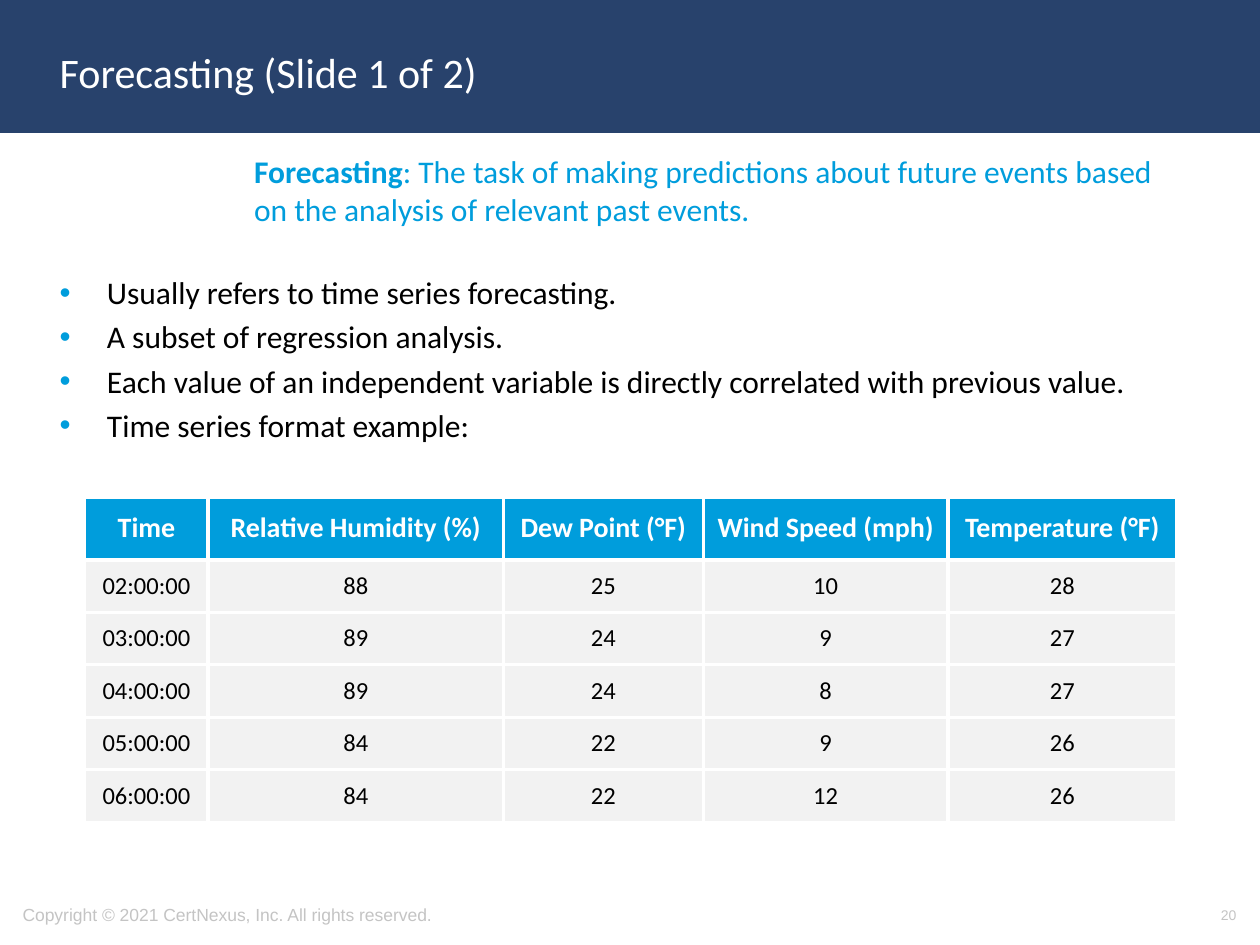
import pptx
import pptx.util
import pptx.dml.color
import pptx.enum.shapes
import pptx.enum.text
import pptx.oxml
import pptx.oxml.ns
from lxml import etree

Pt = pptx.util.Pt
ALIGN = pptx.enum.text.PP_ALIGN
ANCHOR = pptx.enum.text.MSO_ANCHOR

# Content
TITLE = "Forecasting (Slide 1 of 2)"
TERM = "Forecasting"
MEANING = (": The task of making predictions about future events based "
           "on the analysis of relevant past events.")
BULLETS = [
    "Usually refers to time series forecasting.",
    "A subset of regression analysis.",
    "Each value of an independent variable is directly correlated with previous value.",
    "Time series format example:",
]
READINGS = [
    ("Time", "Relative Humidity (%)", "Dew Point (°F)", "Wind Speed (mph)", "Temperature (°F)"),
    ("02:00:00", "88", "25", "10", "28"),
    ("03:00:00", "89", "24", "9", "27"),
    ("04:00:00", "89", "24", "8", "27"),
    ("05:00:00", "84", "22", "9", "26"),
    ("06:00:00", "84", "22", "12", "26"),
]
COPYRIGHT = "Copyright © 2021 CertNexus, Inc. All rights reserved."
PAGE_NUMBER = "20"

# Style, lengths in points
NAVY, BLUE, WHITE, BLACK, PALE, GREY = "28426C", "009DDC", "FFFFFF", "000000", "F2F2F2", "C4C4C4"
COLUMN_WIDTHS = [70.6, 168.7, 114.2, 139.9, 130.6]
HEADER_HEIGHT, ROW_HEIGHT = 36, 30
BULLET_INDENT = 27


def color(value):
    return pptx.dml.color.RGBColor.from_string(value)


def style(font, size, shade, bold=False, name="Calibri"):
    font.name, font.size, font.bold = name, Pt(size), bold
    font.color.rgb = color(shade)


def place(shape, left, top, width, height):
    shape.left, shape.top = Pt(left), Pt(top)
    shape.width, shape.height = Pt(width), Pt(height)
    frame = shape.text_frame
    frame.word_wrap = True
    frame.auto_size = pptx.enum.text.MSO_AUTO_SIZE.NONE
    return frame


def add_child(parent, tag, **attributes):
    return etree.SubElement(parent, pptx.oxml.ns.qn(tag), **attributes)


def set_bullet(para, indent, mark=None):
    properties = para._p.get_or_add_pPr()
    properties.set("marL", str(Pt(indent)))
    properties.set("indent", str(-Pt(indent)))
    if mark:
        add_child(add_child(properties, "a:buClr"), "a:srgbClr", val=BLUE)
        add_child(properties, "a:buFont", typeface="Arial")
        add_child(properties, "a:buChar", char=mark)
    else:
        add_child(properties, "a:buNone")


def set_borders(cell, shade, width):
    properties = cell._tc.get_or_add_tcPr()
    for position, side in enumerate(("a:lnL", "a:lnR", "a:lnT", "a:lnB")):
        line = add_child(properties, side, w=str(Pt(width)))
        add_child(add_child(line, "a:solidFill"), "a:srgbClr", val=shade)
        properties.insert(position, line)


def add_footer(page, text, left, width, size, align):
    box = page.shapes.add_textbox(0, 0, 0, 0)
    frame = place(box, left, 508.3, width, 28.8)
    frame.vertical_anchor = ANCHOR.MIDDLE
    frame.text = text
    para = frame.paragraphs[0]
    para.alignment = align
    style(para.runs[0].font, size, GREY, name="Arial")


def add_readings(page):
    height = HEADER_HEIGHT + ROW_HEIGHT * (len(READINGS) - 1)
    table = page.shapes.add_table(len(READINGS), len(COLUMN_WIDTHS), Pt(48.4), Pt(283.9),
                                  Pt(sum(COLUMN_WIDTHS)), Pt(height)).table
    for column, width in zip(table.columns, COLUMN_WIDTHS):
        column.width = Pt(width)
    for r, values in enumerate(READINGS):
        header = r == 0
        table.rows[r].height = Pt(HEADER_HEIGHT if header else ROW_HEIGHT)
        for c, value in enumerate(values):
            cell = table.cell(r, c)
            cell.text = value
            cell.vertical_anchor = ANCHOR.MIDDLE
            cell.fill.solid()
            cell.fill.fore_color.rgb = color(BLUE if header else PALE)
            set_borders(cell, WHITE, 2.25)
            para = cell.text_frame.paragraphs[0]
            para.alignment = ALIGN.CENTER
            style(para.runs[0].font, 16 if header else 14, WHITE if header else BLACK, header)


def main():
    deck = pptx.Presentation()
    deck.slide_width, deck.slide_height = Pt(720), Pt(540)
    page = deck.slides.add_slide(deck.slide_layouts[3])

    # Title band, sent behind the placeholders
    band = page.shapes.add_shape(pptx.enum.shapes.MSO_SHAPE.RECTANGLE, 0, 0, Pt(720), Pt(74.9))
    band.shadow.inherit = False
    band.fill.solid()
    band.fill.fore_color.rgb = band.line.color.rgb = color(NAVY)
    band.line.width = Pt(2)
    page.shapes._spTree.insert(2, band._element)

    # Title
    frame = place(page.shapes.title, 26.9, 8, 620.6, 66.2)
    frame.vertical_anchor = ANCHOR.MIDDLE
    frame.text = TITLE
    frame.paragraphs[0].alignment = ALIGN.LEFT
    style(frame.paragraphs[0].runs[0].font, 24, WHITE)

    # Bulleted list
    frame = place(page.placeholders[1], 26.9, 152.6, 666, 345.6)
    frame.text = "\n".join(BULLETS)
    for para in frame.paragraphs:
        set_bullet(para, BULLET_INDENT, "•")
        style(para.runs[0].font, 18, BLACK)
    frame.paragraphs[0].space_before = Pt(0)

    # Definition
    frame = place(page.placeholders[2], 138, 83.5, 545.8, 59.8)
    para = frame.paragraphs[0]
    set_bullet(para, 0)
    para.space_before = Pt(0)
    for text, bold in ((TERM, True), (MEANING, False)):
        span = para.add_run()
        span.text = text
        style(span.font, 18, BLUE, bold)

    # Table and footer
    add_readings(page)
    add_footer(page, COPYRIGHT, 5.8, 379.4, 10, ALIGN.LEFT)
    add_footer(page, PAGE_NUMBER, 545.8, 167.8, 8, ALIGN.RIGHT)

    deck.save("out.pptx")


if __name__ == "__main__":
    main()
